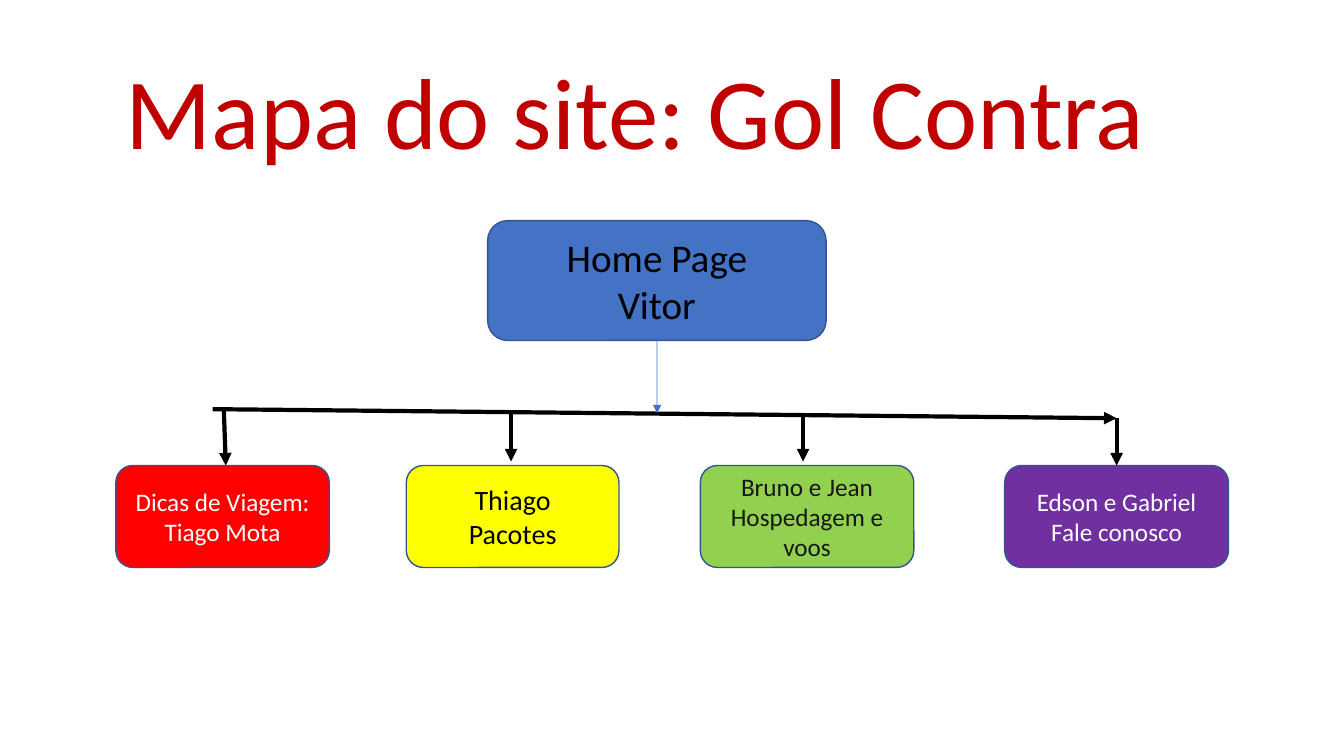
from dataclasses import dataclass

from lxml.etree import SubElement
from pptx import Presentation
from pptx.dml.color import RGBColor
from pptx.enum.shapes import MSO_CONNECTOR, MSO_SHAPE
from pptx.enum.text import MSO_ANCHOR, PP_ALIGN
from pptx.oxml.ns import qn
from pptx.util import Cm, Pt


@dataclass(frozen=True)
class Theme:
    font: str = "Calibri"
    title: str = "C00000"
    home: str = "4472C4"
    outline: str = "325491"
    black: str = "000000"
    charcoal: str = "181717"
    white: str = "FFFFFF"
    red: str = "FF0000"
    yellow: str = "FFFF00"
    green: str = "92D050"
    purple: str = "7030A0"
    title_size: int = 72
    home_size: int = 28
    large_size: int = 20
    page_size: int = 18
    branch_width: float = 3
    thin_width: float = 0.5


def write_text(frame, text, *, font, size, color, align=PP_ALIGN.CENTER, spacing=None):
    """Fill a text frame, one paragraph for each line of text."""
    frame.word_wrap = True
    frame.vertical_anchor = MSO_ANCHOR.MIDDLE
    for index, line in enumerate(text.split("\n")):
        paragraph = frame.add_paragraph() if index else frame.paragraphs[0]
        paragraph.alignment = align
        paragraph.line_spacing = spacing
        run = paragraph.add_run()
        run.text = line
        run.font.name = font
        run.font.size = Pt(size)
        run.font.color.rgb = RGBColor.from_string(color)


class SiteMap:
    def __init__(self, slide, theme):
        self.slide = slide
        self.theme = theme

    def heading(self, text, left, top, width, height):
        box = self.slide.shapes.add_textbox(Cm(left), Cm(top), Cm(width), Cm(height))
        box.text_frame.margin_left = Cm(0.83)
        write_text(box.text_frame, text, font=self.theme.font, size=self.theme.title_size,
                   color=self.theme.title, align=PP_ALIGN.LEFT, spacing=0.9)

    def page(self, text, left, top, width, height, fill, size, color):
        box = self.slide.shapes.add_shape(
            MSO_SHAPE.ROUNDED_RECTANGLE, Cm(left), Cm(top), Cm(width), Cm(height))
        box.shadow.inherit = False
        box.fill.solid()
        box.fill.fore_color.rgb = RGBColor.from_string(fill)
        box.line.color.rgb = RGBColor.from_string(self.theme.outline)
        box.line.width = Pt(1)
        write_text(box.text_frame, text, font=self.theme.font, size=size, color=color)
        return box

    def arrow(self, start, end, color, width, source=None, target=None):
        """Draw an arrow; source leaves by its bottom, target is met at its top."""
        link = self.slide.shapes.add_connector(
            MSO_CONNECTOR.STRAIGHT, *(Cm(value) for value in (*start, *end)))
        if source is not None:
            link.begin_connect(source, 2)
        if target is not None:
            link.end_connect(target, 0)
        link.line.color.rgb = RGBColor.from_string(color)
        link.line.width = Pt(width)
        SubElement(link.line._get_or_add_ln(), qn("a:tailEnd"), type="triangle")
        SubElement(link._element.spPr, qn("a:effectLst"))


def main():
    deck = Presentation()
    deck.slide_width, deck.slide_height = Cm(33.87), Cm(19.05)
    theme = Theme()
    site = SiteMap(deck.slides.add_slide(deck.slide_layouts[6]), theme)

    # Title and home page
    site.heading("Mapa do site: Gol Contra", 2.34, 1.19, 27.61, 3.51)
    home = site.page("Home Page\nVitor", 12.29, 5.56, 8.53, 3.02,
                     theme.home, theme.home_size, theme.black)

    # Pages below the home page: text, left, width, fill, size, text colour
    pages = [
        ("Dicas de Viagem:\nTiago Mota", 2.92, 5.38, theme.red, theme.page_size, theme.white),
        ("Thiago\nPacotes", 10.24, 5.36, theme.yellow, theme.large_size, theme.black),
        ("Bruno e Jean\nHospedagem e\nvoos", 17.65, 5.38, theme.green, theme.page_size,
         theme.charcoal),
        ("Edson e Gabriel\nFale conosco", 25.32, 5.64, theme.purple, theme.page_size,
         theme.white),
    ]
    page_top, page_height = 11.73, 2.57
    tips, packages, lodging, contact = [
        site.page(text, left, page_top, width, page_height, fill, size, color)
        for text, left, width, fill, size, color in pages]

    # Trunk, and the arrow from the home page to it
    trunk_start, trunk_end = (5.36, 10.31), (28.14, 10.54)
    site.arrow(trunk_start, trunk_end, theme.black, theme.branch_width)
    site.arrow((16.56, 8.58), (16.56, 10.41), theme.home, theme.thin_width, source=home)

    # Branches from the trunk to the pages
    branches = [
        ((5.64, 10.31), (5.69, page_top), None),
        ((12.88, 10.41), (12.88, 11.63), None),
        ((20.24, 10.41), (20.24, 11.63), None),
        (trunk_end, (28.14, page_top), contact),
    ]
    for start, end, target in branches:
        site.arrow(start, end, theme.black, theme.branch_width, target=target)

    deck.save("out.pptx")


if __name__ == "__main__":
    main()
